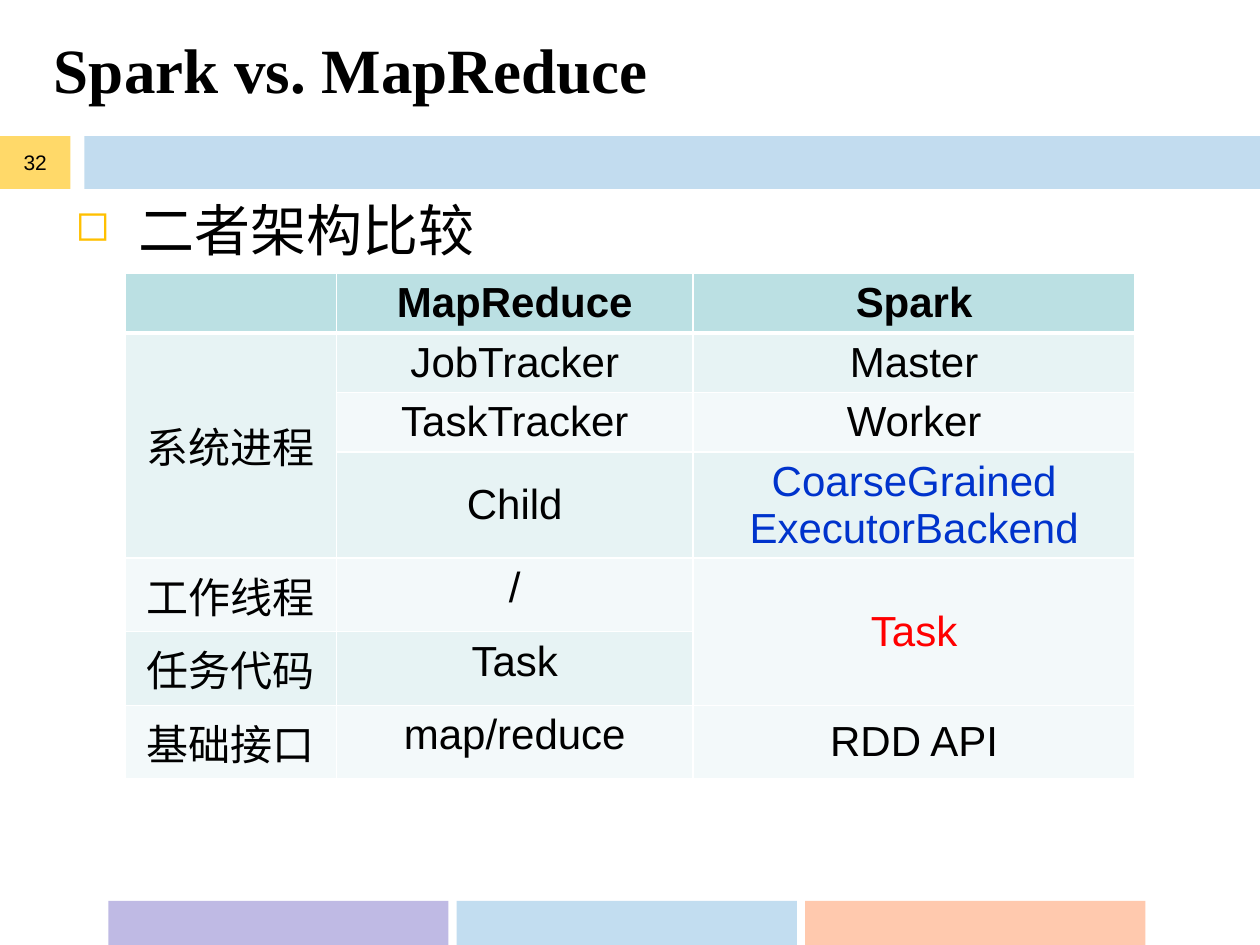
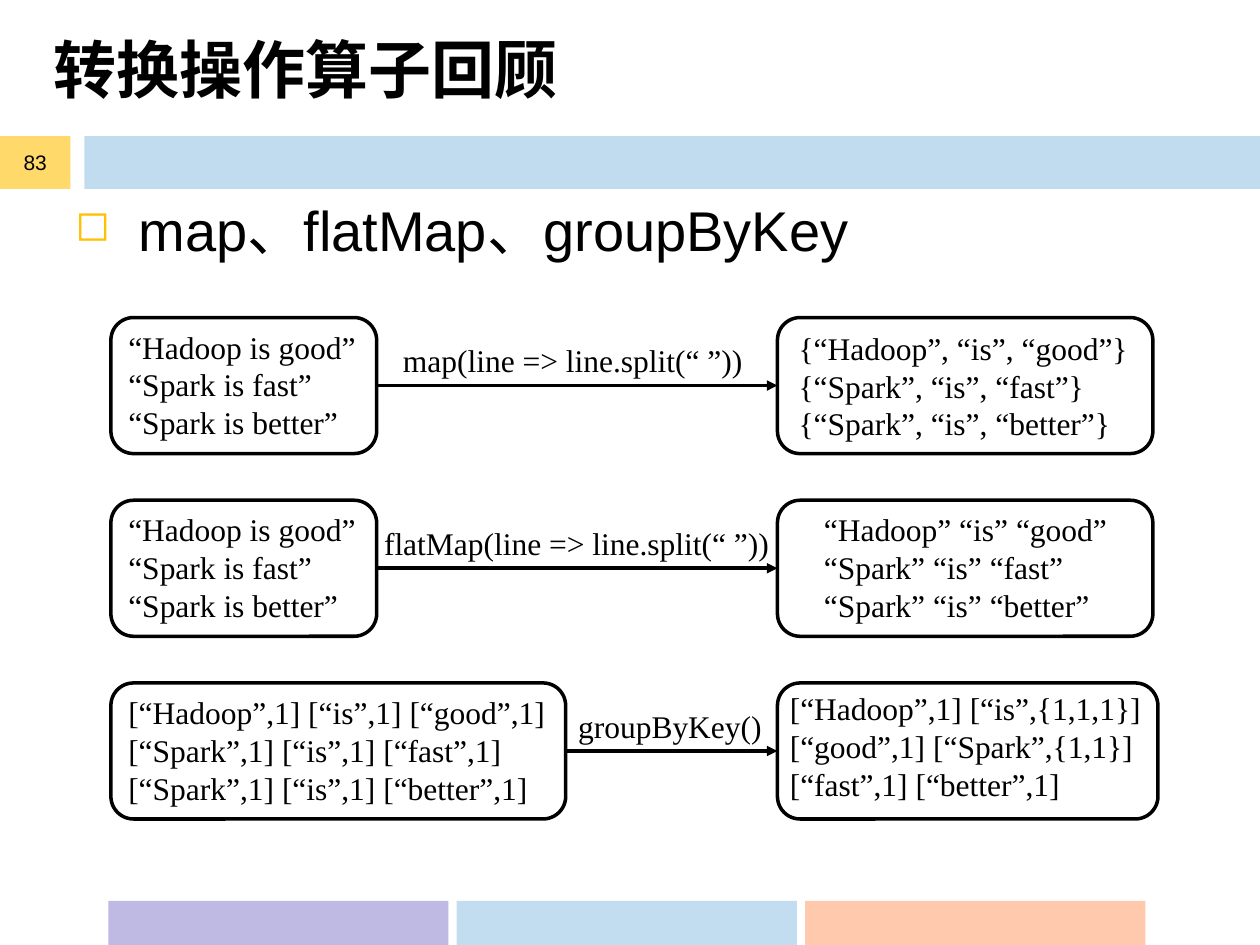
from dataclasses import dataclass

from lxml.etree import SubElement
from pptx import Presentation
from pptx.dml.color import RGBColor
from pptx.enum.shapes import MSO_CONNECTOR, MSO_SHAPE
from pptx.enum.text import MSO_ANCHOR, MSO_AUTO_SIZE, PP_ALIGN
from pptx.oxml.ns import qn
from pptx.util import Inches, Pt


@dataclass(frozen=True)
class Theme:
    """Colours, fonts and type sizes shared by the slides."""

    ink: str = "000000"
    paper: str = "FFFFFF"
    purple: str = "BFBAE4"
    sky: str = "C2DDF0"
    orange: str = "FF9966"
    blue: str = "0070C0"
    gold: str = "FFC000"
    header: str = "BBE0E3"
    stripes: tuple = ("F3F9FA", "E7F3F4")
    executor: str = "0033CC"
    task: str = "FF0000"
    serif: str = "Times New Roman"
    sans: str = "Arial"
    title_size: int = 36
    body_size: int = 32
    cell_size: int = 24
    code_size: int = 18
    number_size: int = 12
    line: int = 2


class Deck:
    """Draws elements on the current slide over a grid of 100 columns by 75 rows."""

    def __init__(self, theme):
        self.theme = theme
        self.presentation = Presentation()
        self.presentation.slide_width = Inches(10)
        self.presentation.slide_height = Inches(7.5)
        self.column = self.presentation.slide_width / 100
        self.row = self.presentation.slide_height / 75
        self.slide = None

    def place(self, left, top, width, height):
        """Turn columns and rows into lengths."""
        return (round(left * self.column), round(top * self.row),
                round(width * self.column), round(height * self.row))

    def style(self, frame, size, font, color=None, bold=False, align=None):
        """Format every run of a text frame."""
        for paragraph in frame.paragraphs:
            if align is not None:
                paragraph.alignment = align
            for run in paragraph.runs:
                run.font.size = Pt(size)
                run.font.name = font
                run.font.bold = bold
                run.font.color.rgb = RGBColor.from_string(color or self.theme.ink)

    def band(self, box, color, opacity=100):
        """Add a plain coloured rectangle."""
        band = self.slide.shapes.add_shape(MSO_SHAPE.RECTANGLE, *self.place(*box))
        band.shadow.inherit = False
        band.fill.solid()
        band.fill.fore_color.rgb = RGBColor.from_string(color)
        band.line.fill.background()
        if opacity < 100:
            tint = band.fill._xPr.find(qn("a:solidFill"))[0]
            SubElement(tint, qn("a:alpha"), val=str(opacity * 1000))
        return band

    def text(self, box, lines, size, font, bold=False, wrap=True, grow=False,
             anchor=MSO_ANCHOR.TOP):
        """Add a text box and return its frame."""
        frame = self.slide.shapes.add_textbox(*self.place(*box)).text_frame
        frame.text = "\n".join(lines)
        frame.word_wrap = wrap
        frame.vertical_anchor = anchor
        frame.auto_size = MSO_AUTO_SIZE.SHAPE_TO_FIT_TEXT if grow else MSO_AUTO_SIZE.NONE
        self.style(frame, size, font, bold=bold)
        return frame

    def code(self, box, lines, wrap=False):
        """Add lines of code or data."""
        self.text(box, lines, self.theme.code_size, self.theme.serif, wrap=wrap, grow=True)

    def topic(self, words):
        """Add the bulleted line that opens the slide body."""
        frame = self.text((5, 15, 90, 52), [words], self.theme.body_size, self.theme.sans)
        properties = frame.paragraphs[0]._p.get_or_add_pPr()
        properties.set("marL", str(Inches(0.5)))
        properties.set("indent", str(-Inches(0.5)))
        bullet_color = SubElement(properties, qn("a:buClr"))
        SubElement(bullet_color, qn("a:srgbClr"), val=self.theme.gold)
        SubElement(properties, qn("a:buSzPct"), val="75000")
        SubElement(properties, qn("a:buChar"), char="◻")

    def start(self, title, number, topic):
        """Begin a slide with its bands, title, number and topic."""
        theme = self.theme
        self.slide = self.presentation.slides.add_slide(self.presentation.slide_layouts[6])
        footers = ((theme.purple, 100), (theme.sky, 100), (theme.orange, 53))
        for index, (color, opacity) in enumerate(footers):
            self.band((8.6 + 27.65 * index, 71.5, 27, 3.5), color, opacity)
        self.band((6.7, 10.8, 93.3, 4.2), theme.blue, 24)
        self.text((3.3, -0.8, 93.9, 12.5), [title], theme.title_size, theme.serif,
                  bold=True, anchor=MSO_ANCHOR.MIDDLE)
        badge = self.band((0, 10.8, 5.6, 4.2), theme.gold, 59).text_frame
        badge.text = str(number)
        badge.vertical_anchor = MSO_ANCHOR.MIDDLE
        badge.margin_left = badge.margin_right = 0
        self.style(badge, theme.number_size, theme.sans, align=PP_ALIGN.CENTER)
        self.topic(topic)

    def card(self, box):
        """Add an outlined rounded rectangle."""
        card = self.slide.shapes.add_shape(MSO_SHAPE.ROUNDED_RECTANGLE, *self.place(*box))
        card.shadow.inherit = False
        card.fill.background()
        card.line.color.rgb = RGBColor.from_string(self.theme.ink)
        card.line.width = Pt(self.theme.line)
        return card

    def arrow(self, source, result):
        """Join the right side of one card to the left side of another."""
        arrow = self.slide.shapes.add_connector(MSO_CONNECTOR.STRAIGHT, 0, 0, 0, 0)
        arrow.begin_connect(source, 3)
        arrow.end_connect(result, 1)
        arrow.line.color.rgb = RGBColor.from_string(self.theme.ink)
        arrow.line.width = Pt(self.theme.line)
        SubElement(arrow.line._get_or_add_ln(), qn("a:tailEnd"), type="triangle")
        SubElement(arrow._element.spPr, qn("a:effectLst"))

    def border(self, cell, sides):
        """Draw cell borders from a mapping of side to points."""
        properties = cell._tc.get_or_add_tcPr()
        for side, points in sides.items():
            edge = SubElement(properties, qn(f"a:ln{side}"), w=str(Pt(points)))
            fill = SubElement(edge, qn("a:solidFill"))
            SubElement(fill, qn("a:srgbClr"), val=self.theme.paper)

    def table(self, box, widths, row_height, rows, merges, middles, accents):
        """Add a striped table with merged, centred and accented cells."""
        theme = self.theme
        place = self.place(*box)
        holder = self.slide.shapes.add_table(len(rows), len(widths), *place)
        table = holder.table
        for column, width in zip(table.columns, widths):
            column.width = round(width * self.column)
        for row in table.rows:
            row.height = round(row_height * self.row)
        holder.height = place[3]
        for r, words in enumerate(rows):
            for c, word in enumerate(words):
                cell = table.cell(r, c)
                cell.text = word
                self.border(cell, {"L": 1, "R": 1, "T": 3 if r == 1 else 1,
                                   "B": 3 if r == 0 else 1})
                cell.fill.solid()
                color = theme.stripes[r % 2] if r else theme.header
                cell.fill.fore_color.rgb = RGBColor.from_string(color)
                if (r, c) in middles:
                    cell.vertical_anchor = MSO_ANCHOR.MIDDLE
                self.style(cell.text_frame, theme.cell_size, theme.sans,
                           accents.get((r, c)), r == 0, PP_ALIGN.CENTER)
        for first, last in merges:
            table.cell(*first).merge(table.cell(*last))


def compare_architectures(deck):
    """Build the comparison of the two architectures."""
    deck.start("Spark vs. MapReduce", 32, "二者架构比较")
    rows = (
        ("", "MapReduce", "Spark"),
        ("系统进程", "JobTracker", "Master"),
        ("", "TaskTracker", "Worker"),
        ("", "Child", "CoarseGrained\nExecutorBackend"),
        ("工作线程", "/", "Task"),
        ("任务代码", "Task", ""),
        ("基础接口", "map/reduce", "RDD API"),
    )
    deck.table(
        (9.9, 21.7, 80.2, 39), (16.8, 28.3, 35.1), 4.1, rows,
        merges=(((1, 0), (3, 0)), ((4, 2), (5, 2))),
        middles={(1, 0), (3, 1), (3, 2), (4, 0), (4, 2), (5, 0), (6, 0), (6, 2)},
        accents={(3, 2): deck.theme.executor, (4, 2): deck.theme.task},
    )


@dataclass(frozen=True)
class Step:
    """One transformation; each span is a left column and a width."""

    source: tuple
    source_width: float
    call: str
    call_span: tuple
    result: tuple
    result_width: float
    result_span: tuple
    result_drop: float
    result_wraps: bool = False


def review_operators(deck):
    """Build the review of the transformation operators."""
    deck.start("转换操作算子回顾", 83, "map、flatMap、groupByKey")
    sentences = ("“Hadoop is good”", "“Spark is fast”", "“Spark is better”")
    steps = (
        Step(sentences, 21.1, "map(line => line.split(“ ”))", (31, 29.3),
             ("{“Hadoop”, “is”, “good”}", "{“Spark”, “is”, “fast”}",
              "{“Spark”, “is”, “better”}"), 29.8, (62.4, 28.4), 0.4, True),
        Step(sentences, 21.1, "flatMap(line => line.split(“ ”))", (29.5, 32.6),
             ("“Hadoop” “is” “good”", "“Spark” “is” “fast”",
              "“Spark” “is” “better”"), 29.8, (64.4, 24.8), 0.3),
        Step(("[“Hadoop”,1] [“is”,1] [“good”,1]", "[“Spark”,1] [“is”,1] [“fast”,1]",
              "[“Spark”,1] [“is”,1] [“better”,1]"), 36.1, "groupByKey()", (44.9, 16.7),
             ("[“Hadoop”,1] [“is”,{1,1,1}]", "[“good”,1] [“Spark”,{1,1}]",
              "[“fast”,1] [“better”,1]"), 30.2, (61.7, 30.2), 0),
    )
    source_left, result_left, card_height, text_height = 8.8, 61.7, 10.8, 10.1
    for index, step in enumerate(steps):
        top = 25.2 + 14.5 * index
        source = deck.card((source_left, top, step.source_width, card_height))
        deck.code((source_left + 0.4, top + 0.3, step.source_width - 0.8, text_height),
                  step.source)
        result = deck.card((result_left, top, step.result_width, card_height))
        left, width = step.result_span
        deck.code((left, top + step.result_drop, width, text_height), step.result,
                  step.result_wraps)
        deck.arrow(source, result)
        left, width = step.call_span
        deck.code((left, top + 1.4, width, 4), (step.call,))


def main():
    """Build and save the deck."""
    deck = Deck(Theme())
    compare_architectures(deck)
    review_operators(deck)
    deck.presentation.save("out.pptx")


if __name__ == "__main__":
    main()
